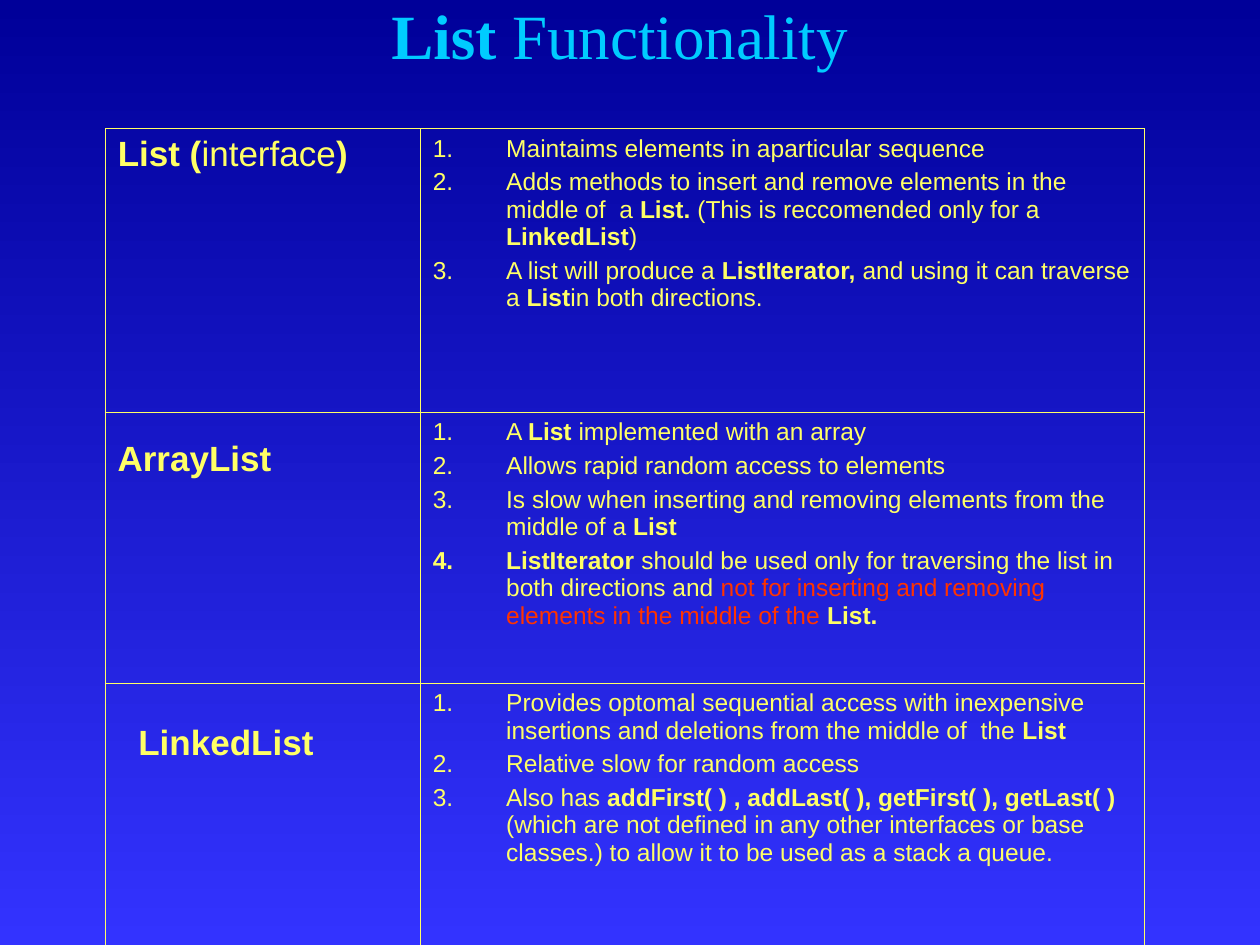
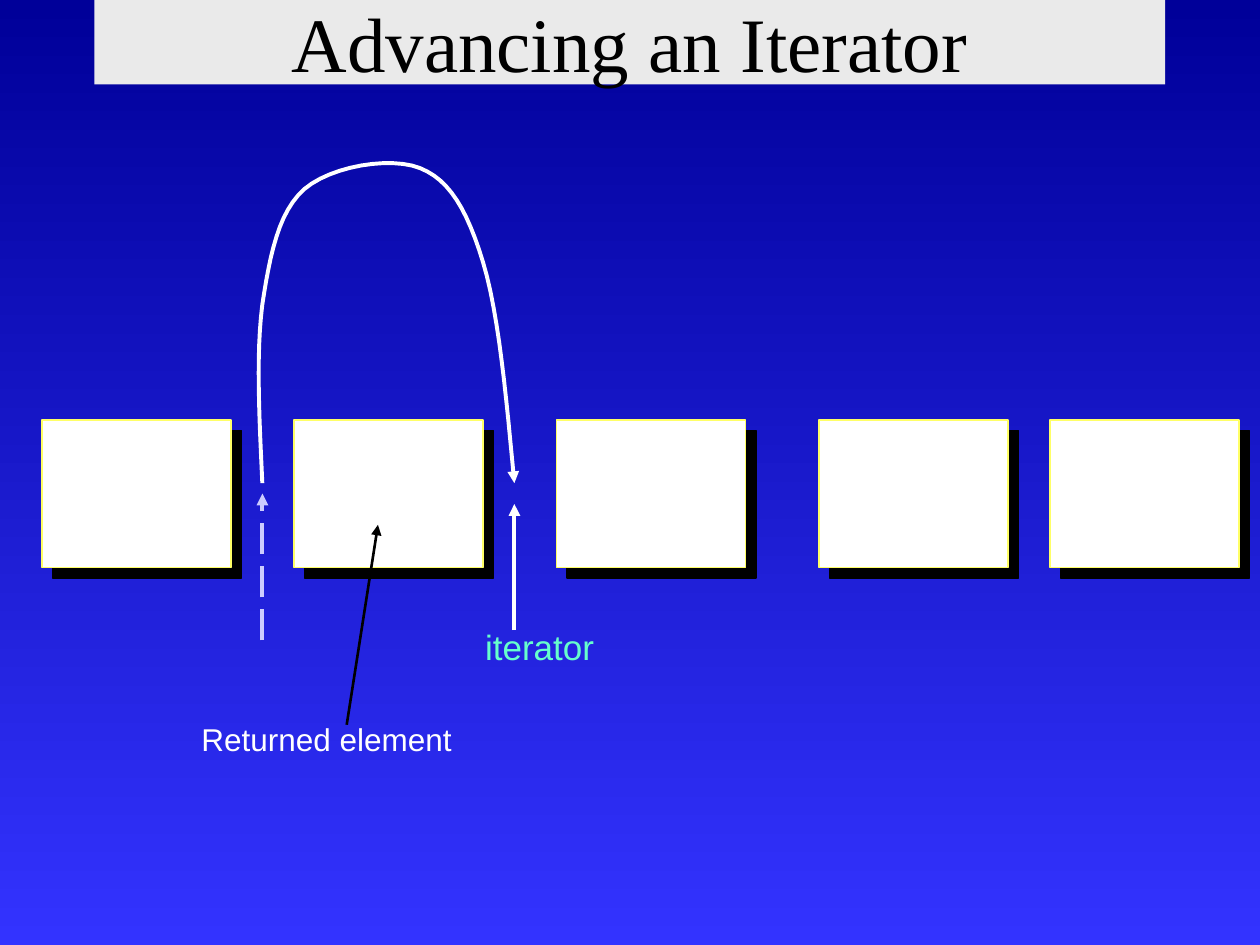
import pptx
import pptx.util
import pptx.dml.color
import pptx.enum.dml
import pptx.enum.shapes
import pptx.enum.text
import pptx.oxml.ns
import lxml.etree

Cm = pptx.util.Cm
Pt = pptx.util.Pt
qn = pptx.oxml.ns.qn

# Shared look
NAVY, BLUE = "000099", "3333FF"
YELLOW, WHITE, BLACK = "FFFF66", "FFFFFF", "000000"
CYAN, RED, MINT, LILAC, GREY = "00CCFF", "FF3300", "66FFCC", "CCCCFF", "EAEAEA"
SERIF, SANS = "Times New Roman", "Arial"

# Table text: *bold*, _red_
ROWS = [
    ("*List (*interface*)*", [
        "Maintaims elements in aparticular sequence",
        "Adds methods to insert and remove elements in the middle of  a *List. *"
        "(This is reccomended only for a *LinkedList*)",
        "A list will produce a *ListIterator,* and using it can traverse "
        "a *List*in both directions.",
    ]),
    ("", [
        "A *List* implemented with an array",
        "Allows rapid random access to elements",
        "Is slow when inserting and removing elements from the middle of a *List*",
        "*ListIterator* should be used only for traversing the list in both "
        "directions and _not for inserting and removing elements in the middle "
        "of the_* List.*",
    ]),
    ("", [
        "Provides optomal sequential access with inexpensive insertions and "
        "deletions from the middle of  the *List*",
        "Relative slow for random access",
        "Also has *addFirst( ) , addLast( ), getFirst( ), getLast( )* (which are "
        "not defined in any other interfaces or base classes.) to allow it to be "
        "used as a stack a queue.",
    ]),
]
COLS = [6.35, 14.6]
TALL = [5.72, 5.46, 5.28]

# Diagram measures, relative to its box
CELLS = [0, 5.08, 10.37, 15.66, 20.32]
ARC = [(4.44, 6.59),
       (4.38, 5.28), (4.31, 3.99), (4.44, 2.99),
       (4.59, 2.01), (4.76, 1.12), (5.29, 0.66),
       (5.83, 0.2), (7.02, 0), (7.62, 0.24),
       (8.22, 0.48), (8.57, 1.09), (8.89, 2.14),
       (9.21, 3.2), (9.36, 4.9), (9.52, 6.59)]


def tint(code):
    return pptx.dml.color.RGBColor.from_string(code)


def cms(*sizes):
    return [Cm(size) for size in sizes]


def write(para, text, size, color, face=SANS):
    """Fill a paragraph, with *bold* and _red_ stretches."""
    for i, piece in enumerate(text.split("*")):
        for j, part in enumerate(piece.split("_")):
            if not part:
                continue
            run = para.add_run()
            run.text = part
            run.font.name = face
            run.font.size = Pt(size)
            run.font.bold = i % 2 == 1
            run.font.color.rgb = tint(RED if j % 2 else color)


def paint(master):
    fill = master.background.fill
    fill.gradient()
    fill.gradient_angle = 270
    for stop, code in zip(fill.gradient_stops, (NAVY, BLUE)):
        stop.color.rgb = tint(code)


def add_title(slide, box, text, size, color, back=None):
    title = slide.shapes.title
    title.left, title.top, title.width, title.height = cms(*box)
    if back:
        title.fill.solid()
        title.fill.fore_color.rgb = tint(back)
    frame = title.text_frame
    frame.auto_size = pptx.enum.text.MSO_AUTO_SIZE.NONE
    frame.vertical_anchor = pptx.enum.text.MSO_ANCHOR.MIDDLE
    para = frame.paragraphs[0]
    para.alignment = pptx.enum.text.PP_ALIGN.CENTER
    write(para, text, size, color, SERIF)


def add_label(slide, box, text, size, color, gap=12.5):
    frame = slide.shapes.add_textbox(*cms(*box)).text_frame
    frame.word_wrap = True
    frame.auto_size = pptx.enum.text.MSO_AUTO_SIZE.SHAPE_TO_FIT_TEXT
    para = frame.paragraphs[0]
    para.space_before = Pt(gap)
    write(para, text, size, color)


# Table
def edge(cell):
    props = cell._tc.get_or_add_tcPr()
    for side in "LRTB":
        line = lxml.etree.SubElement(props, qn("a:ln" + side), w=str(Pt(0.45)))
        solid = lxml.etree.SubElement(line, qn("a:solidFill"))
        lxml.etree.SubElement(solid, qn("a:srgbClr"), val=YELLOW)
    cell.fill.background()


def number(para):
    para.space_before = Pt(3.5)
    props = para._p.get_or_add_pPr()
    props.set("marL", str(Cm(1.48)))
    props.set("indent", str(-Cm(1.48)))
    lxml.etree.SubElement(props, qn("a:buAutoNum"), type="arabicPeriod")


def add_grid(slide, box):
    table = slide.shapes.add_table(len(ROWS), len(COLS), *cms(*box)).table
    table.first_row = table.horz_banding = False
    for col, wide in zip(table.columns, COLS):
        col.width = Cm(wide)
    for row, tall, (name, notes) in zip(table.rows, TALL, ROWS):
        row.height = Cm(tall)
        left, right = row.cells
        edge(left)
        edge(right)
        para = left.text_frame.paragraphs[0]
        para.space_before = Pt(5)
        write(para, name, 20, YELLOW)
        frame = right.text_frame
        for i, note in enumerate(notes):
            para = frame.add_paragraph() if i else frame.paragraphs[0]
            number(para)
            write(para, note, 14, YELLOW)


# Diagram
def stroke(shape, color, width, dash=None):
    """Style a line that ends in an arrowhead."""
    shape.line.color.rgb = tint(color)
    shape.line.width = Pt(width)
    if dash:
        shape.line.dash_style = dash
    props = shape._element.spPr
    lxml.etree.SubElement(props.find(qn("a:ln")), qn("a:tailEnd"), type="triangle")
    if props.find(qn("a:effectLst")) is None:
        lxml.etree.SubElement(props, qn("a:effectLst"))


def add_cell(slide, box):
    cell = slide.shapes.add_shape(
        pptx.enum.shapes.MSO_SHAPE.RECTANGLE, *cms(*box))
    cell.fill.solid()
    cell.fill.fore_color.rgb = tint(WHITE)
    cell.line.color.rgb = tint(YELLOW)
    cell.line.width = Pt(0.75)
    cell.shadow.inherit = False
    effect = cell._element.spPr.find(qn("a:effectLst"))
    shade = lxml.etree.SubElement(effect, qn("a:outerShdw"), dist=str(Pt(8.5)),
                                  dir="2700000", algn="ctr", rotWithShape="0")
    lxml.etree.SubElement(shade, qn("a:srgbClr"), val=BLACK)


def trace(knots, steps=12):
    """Points along a chain of cubic curves."""
    dots = [knots[0]]
    for k in range(0, len(knots) - 1, 3):
        for n in range(1, steps + 1):
            t = n / steps
            u = 1 - t
            mix = (u ** 3, 3 * u * u * t, 3 * u * t * t, t ** 3)
            dots.append(tuple(sum(m * knot[axis] for m, knot in
                                  zip(mix, knots[k:k + 4])) for axis in (0, 1)))
    return dots


def add_arc(slide, left, top):
    dots = [cms(left + x, top + y) for x, y in trace(ARC)]
    pen = slide.shapes.build_freeform(*dots[0])
    pen.add_line_segments(dots[1:], close=False)
    arc = pen.convert_to_shape()
    arc.fill.background()
    arc.shadow.inherit = False
    stroke(arc, WHITE, 2.25)


def add_chain(slide, box):
    left, top = box

    def arrow(start, end, color, width, dash=None):
        ends = cms(left + start[0], top + start[1], left + end[0], top + end[1])
        line = slide.shapes.add_connector(
            pptx.enum.shapes.MSO_CONNECTOR.STRAIGHT, *ends)
        stroke(line, color, width, dash)

    for x in CELLS:
        add_cell(slide, (left + x, top + 5.32, 3.81, 2.97))
    add_arc(slide, left, top)
    arrow((4.44, 9.76), (4.44, 6.8), LILAC, 2.25,
          pptx.enum.dml.MSO_LINE.LONG_DASH)
    add_label(slide, (left + 2.96, top + 11.24, 6.56, 1.03),
              "Returned element", 18, WHITE, 11.2)
    arrow((6.14, 11.46), (6.77, 7.43), BLACK, 1.5)
    arrow((9.52, 9.55), (9.52, 7.01), WHITE, 2.25)
    add_label(slide, (left + 8.68, top + 9.34, 4.87, 1.11), "iterator", 20, MINT)


def main():
    deck = pptx.Presentation()
    deck.slide_width, deck.slide_height = cms(25.4, 19.05)
    paint(deck.slide_master)
    plain = deck.slide_layouts[5]

    # List functionality
    slide = deck.slides.add_slide(plain)
    add_title(slide, (1.7, 0, 21.59, 1.4), "*List* Functionality", 36, CYAN)
    add_grid(slide, (2.12, 2.59, sum(COLS), sum(TALL)))
    add_label(slide, (2.12, 8.68, 5.08, 1.11), "*ArrayList*", 20, YELLOW)
    add_label(slide, (2.54, 14.39, 4.87, 1.11), "*LinkedList*", 20, YELLOW)

    # Advancing an iterator
    slide = deck.slides.add_slide(plain)
    add_title(slide, (1.9, 0, 21.59, 1.7), "Advancing an Iterator", 44, BLACK, GREY)
    add_chain(slide, (0.85, 3.15))

    deck.save("out.pptx")


if __name__ == "__main__":
    main()
